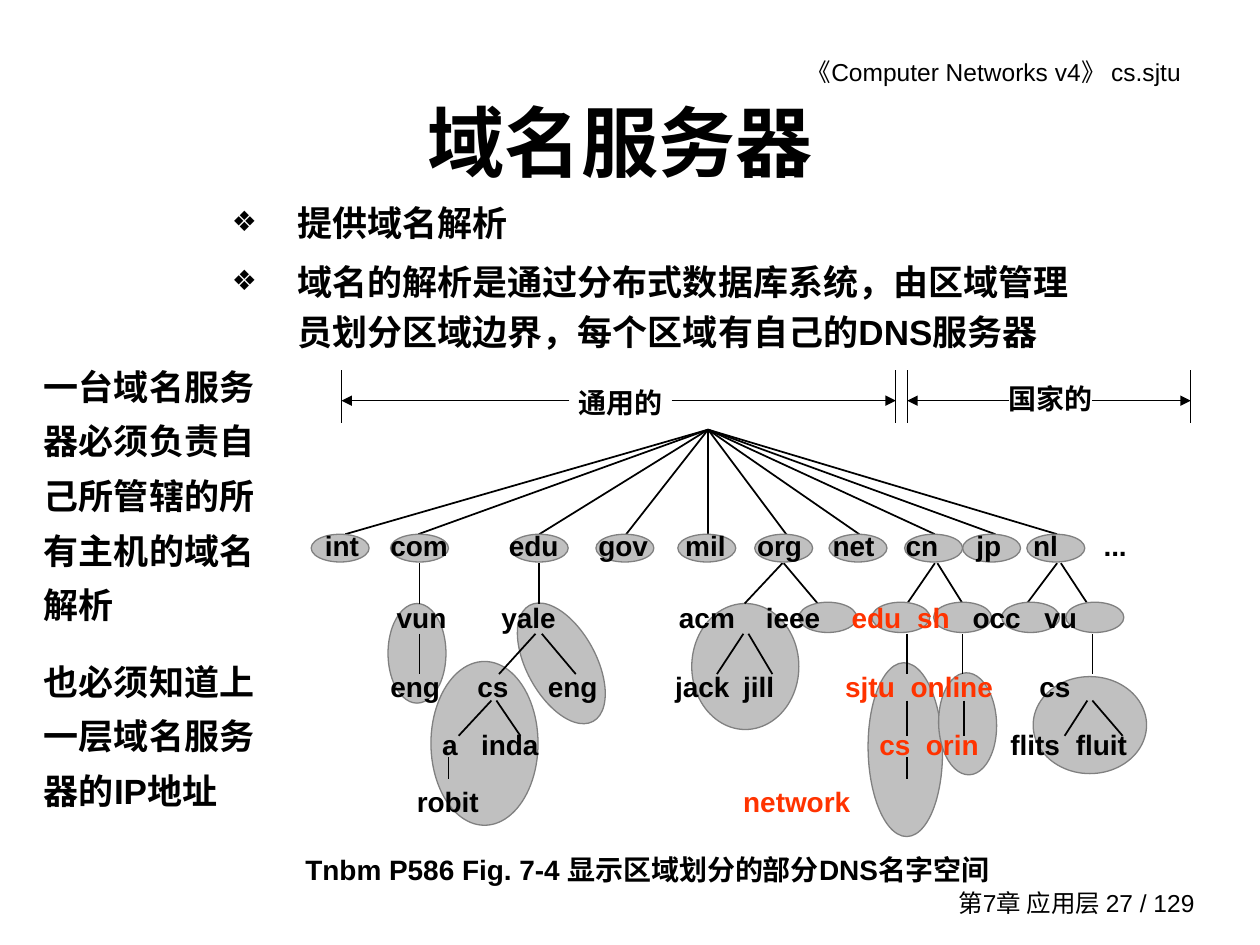
import pptx
import pptx.util
import pptx.dml.color
import pptx.enum.shapes
import pptx.enum.text
import pptx.oxml.ns
import lxml.etree

Inches, Pt = pptx.util.Inches, pptx.util.Pt
ALIGN = pptx.enum.text.PP_ALIGN
ANCHOR = pptx.enum.text.MSO_ANCHOR
BLACK, RED, GRAY, EDGE = "000000", "FF3300", "C0C0C0", "808080"

HEADER = "《Computer Networks v4》 cs.sjtu"
FOOTER = "第7章 应用层 27 / 129"
TITLE = "域名服务器"
POINTS = ["提供域名解析",
          "域名的解析是通过分布式数据库系统，由区域管理员划分区域边界，每个区域有自己的DNS服务器"]
SIDE = ["一台域名服务器必须负责自己所管辖的所有主机的域名解析",
        "也必须知道上一层域名服务器的IP地址"]
CAPTION = "Tnbm P586 Fig. 7-4 显示区域划分的部分DNS名字空间"

# Each tree row: centre height, then (left edge, name); red names apart
ROWS = [
    (4.33, [(2.58, "int"), (3.10, "com"), (4.04, "edu"), (4.75, "gov"),
            (5.44, "mil"), (6.01, "org"), (6.61, "net"), (7.19, "cn"),
            (7.75, "jp"), (8.20, "nl"), (8.76, "...")], ()),
    (4.90, [(3.15, "vun"), (3.98, "yale"), (5.39, "acm"), (6.08, "ieee"),
            (6.76, "edu"), (7.28, "sh"), (7.72, "occ"), (8.29, "vu")],
     ("edu", "sh")),
    (5.45, [(3.10, "eng"), (3.79, "cs"), (4.35, "eng"), (5.36, "jack"),
            (5.90, "jill"), (6.71, "sjtu"), (7.23, "online"), (8.25, "cs")],
     ("sjtu", "online")),
    (5.91, [(3.51, "a"), (3.82, "inda"), (6.98, "cs"), (7.35, "orin"),
            (8.02, "flits"), (8.54, "fluit")], ("cs", "orin")),
    (6.36, [(3.31, "robit"), (5.90, "network")], ("network",)),
]

# Zones: left, top, width, height, turn
ZONES = [(6.89, 5.26, 0.59, 1.38, -1.1), (8.20, 5.37, 0.90, 0.77, 0),
         (7.45, 5.34, 0.46, 0.81, -1.8), (3.08, 4.79, 0.46, 0.79, 0),
         (3.42, 5.25, 0.85, 1.30, 0), (4.18, 4.74, 0.55, 1.05, -28.7),
         (5.49, 4.79, 0.85, 1.00, 0)]
# Single-name zones: top, height, left edges
NODES = [(4.24, 0.22, [8.15, 2.47, 3.10, 4.05, 4.73, 5.38, 5.99, 7.64, 7.18, 6.58]),
         (4.78, 0.24, [6.34, 6.92, 7.41, 8.46, 7.95])]

ROOT = 5.62
LEAVES = [2.74, 3.32, 4.28, 4.97, 5.62, 6.24, 6.82, 7.42, 7.90, 8.39]
# Links between levels: top, bottom, (upper x, lower x)
LINKS = [
    (3.41, 4.24, [(ROOT, x) for x in LEAVES]),
    (4.47, 4.79, [(3.33, 3.33), (4.28, 4.28), (6.21, 5.91), (6.22, 6.49),
                  (7.42, 7.20), (7.44, 7.64), (8.39, 8.15), (8.42, 8.63)]),
    (5.03, 5.35, [(3.33, 3.33), (4.25, 3.96), (4.30, 4.57), (5.90, 5.69),
                  (5.94, 6.13), (7.20, 7.20), (7.64, 7.64), (8.67, 8.67)]),
    (5.56, 5.84, [(3.90, 3.64), (3.94, 4.13), (7.20, 7.20), (7.65, 7.65),
                  (8.63, 8.45), (8.67, 8.91)]),
    (6.01, 6.18, [(3.56, 3.56), (7.20, 7.20)]),
]
# Spans: name, outer left, inner left, inner right, outer right, name height
SPANS = [("通用的", 2.71, 4.52, 5.33, 7.11, 3.19),
         ("国家的", 7.20, 8.01, 8.67, 9.45, 3.16)]

deck = pptx.Presentation()
deck.slide_width, deck.slide_height = Inches(10), Inches(7.5)
slide = deck.slides.add_slide(deck.slide_layouts[1])


def paint(code):
    return pptx.dml.color.RGBColor.from_string(code)


def sub(node, tag, **attrs):
    return lxml.etree.SubElement(node, pptx.oxml.ns.qn(tag), attrs)


def write(box, paras, size=16, bold=True, align=ALIGN.LEFT, anchor=ANCHOR.TOP,
          lead=None, gap=0, face="Arial", bullet=None, tabs=()):
    """Fill a box; each paragraph is a string or a list of (text, colour)."""
    frame = box.text_frame
    frame.word_wrap = True
    frame.auto_size = pptx.enum.text.MSO_AUTO_SIZE.NONE
    frame.vertical_anchor = anchor
    for n, runs in enumerate(paras):
        para = frame.paragraphs[0] if n == 0 else frame.add_paragraph()
        para.alignment = align
        para.space_before = Pt(gap if n else 0)
        if lead:
            para.line_spacing = lead
        props = para._p.get_or_add_pPr()
        if bullet:
            props.set("marL", str(Inches(0.52)))
            props.set("indent", str(-Inches(0.52)))
            sub(sub(props, "a:buClr"), "a:srgbClr", val=BLACK)
            sub(props, "a:buSzPct", val="80000")
            sub(props, "a:buChar", char=bullet)
        if tabs:
            stops = sub(props, "a:tabLst")
            for x in tabs:
                sub(stops, "a:tab", pos=str(Inches(x)), algn="l")
        for text, colour in [(runs, BLACK)] if isinstance(runs, str) else runs:
            run = para.add_run()
            run.text = text
            font = run.font
            font.name, font.size, font.bold = face, Pt(size), bold
            font.color.rgb = paint(colour)
            sub(run._r.get_or_add_rPr(), "a:ea", typeface="Noto Sans CJK SC")


def place(box, *area):
    box.left, box.top, box.width, box.height = map(Inches, area)
    return box


def label(area, paras, **style):
    write(slide.shapes.add_textbox(*map(Inches, area)), paras, **style)


def line(x1, y1, x2, y2, width=1, arrow=False):
    link = slide.shapes.add_connector(
        pptx.enum.shapes.MSO_CONNECTOR.STRAIGHT, *map(Inches, (x1, y1, x2, y2)))
    link.line.color.rgb = paint(BLACK)
    link.line.width = Pt(width)
    if arrow:
        sub(link.line._get_or_add_ln(), "a:tailEnd", type="triangle")
    sub(link._element.spPr, "a:effectLst")


def oval(left, top, width, height, turn=0):
    shape = slide.shapes.add_shape(pptx.enum.shapes.MSO_SHAPE.OVAL,
                                   *map(Inches, (left, top, width, height)))
    shape.rotation = turn
    shape.shadow.inherit = False
    shape.fill.solid()
    shape.fill.fore_color.rgb = paint(GRAY)
    shape.line.color.rgb = paint(EDGE)
    shape.line.width = Pt(0.75)


label((5.28, 0.4, 4.19, 0.34), [HEADER], size=14, bold=False, align=ALIGN.RIGHT)
label((7.32, 7, 2.26, 0.33), [FOOTER], size=14, bold=False, align=ALIGN.RIGHT,
      anchor=ANCHOR.MIDDLE)
write(place(slide.shapes.title, 0.67, 0.67, 8.5, 0.9), [TITLE], size=44,
      align=ALIGN.CENTER, anchor=ANCHOR.MIDDLE)
write(place(slide.placeholders[1], 1.74, 1.48, 6.9, 1.55), POINTS, size=20,
      lead=1.2, gap=5, bullet="❖")

for name, left, start, end, right, mid in SPANS:
    for x in (left, right):
        line(x, 2.94, x, 3.36, width=0.75)
    for x1, x2 in ((start, left), (end, right)):
        line(x1, 3.18, x2, 3.18, width=0.75, arrow=True)
    label(((start + end) / 2 - 0.46, mid - 0.17, 0.92, 0.34), [name],
          align=ALIGN.CENTER, anchor=ANCHOR.MIDDLE, face="Times New Roman")

for zone in ZONES:
    oval(*zone)
for top, low, pairs in LINKS:
    for x1, x2 in pairs:
        line(x1, top, x2, low)
for top, height, lefts in NODES:
    for left in lefts:
        oval(left, top, 0.46, height)

for mid, names, reds in ROWS:
    first = names[0][0]
    runs = [("\t" * (n > 0) + name, RED if name in reds and x > 6.5 or name == "network"
             else BLACK) for n, (x, name) in enumerate(names)]
    label((first - 0.1, mid - 0.17, 9.2 - first, 0.34), [runs],
          anchor=ANCHOR.MIDDLE, tabs=[x - first for x, _ in names[1:]])
    if "sjtu" in reds:
        last = slide.shapes[-1].text_frame.paragraphs[0].runs[-1]
        last.font.color.rgb = paint(BLACK)

label((0.25, 2.75, 1.91, 3.74), SIDE, size=20, lead=1.3, gap=12.5)
label((1.64, 6.72, 7, 0.37), [CAPTION], align=ALIGN.CENTER)

deck.save("out.pptx")
